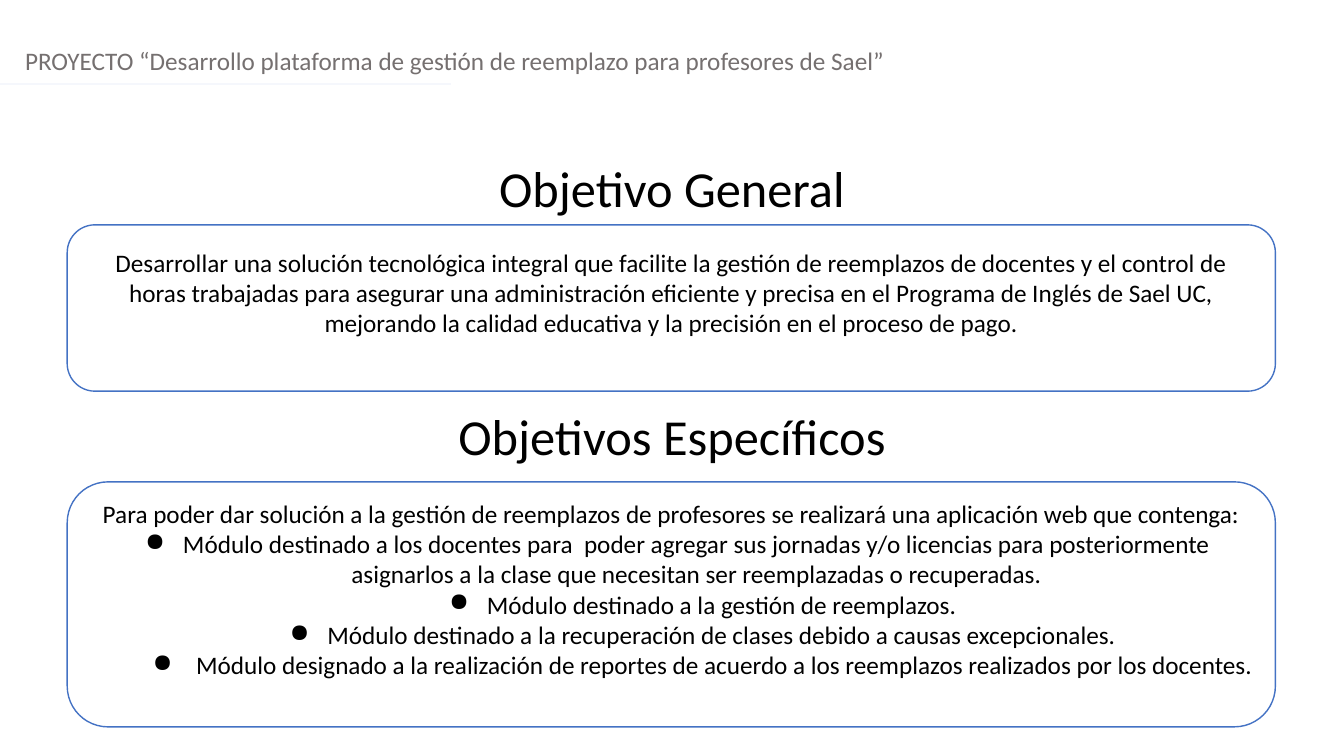
from lxml import etree
from pptx import Presentation
from pptx.dml.color import RGBColor
from pptx.enum.shapes import MSO_CONNECTOR, MSO_SHAPE
from pptx.enum.text import MSO_ANCHOR, MSO_AUTO_SIZE, PP_ALIGN
from pptx.oxml.ns import qn
from pptx.util import Pt

ROUNDED = MSO_SHAPE.ROUNDED_RECTANGLE
STRAIGHT = MSO_CONNECTOR.STRAIGHT
MIDDLE, TOP = MSO_ANCHOR.MIDDLE, MSO_ANCHOR.TOP
NO_AUTOFIT = MSO_AUTO_SIZE.NONE
CENTER, LEFT = PP_ALIGN.CENTER, PP_ALIGN.LEFT

BLACK = RGBColor(0x00, 0x00, 0x00)
WHITE = RGBColor(0xFF, 0xFF, 0xFF)
GRAY = RGBColor(0x75, 0x70, 0x70)
BLUE = RGBColor(0x44, 0x72, 0xC4)
PALE = RGBColor(0xF5, 0xF7, 0xFC)
FONT = "Calibri"

# Content: list entries are (text, left indent in points); None means no bullet
PROJECT = "PROYECTO “Desarrollo plataforma de gestión de reemplazo para profesores de Sael”"
GENERAL_TITLE = "Objetivo General"
SPECIFIC_TITLE = "Objetivos Específicos"
GENERAL = [
    ("Desarrollar una solución tecnológica integral que facilite la gestión de reemplazos "
     "de docentes y el control de horas trabajadas para asegurar una administración "
     "eficiente y precisa en el Programa de Inglés de Sael UC, mejorando la calidad "
     "educativa y la precisión en el proceso de pago.", None),
]
SPECIFIC = [
    ("Para poder dar solución a la gestión de reemplazos de profesores se realizará una "
     "aplicación web que contenga:", None),
    ("Módulo destinado a los docentes para  poder agregar sus jornadas y/o licencias para "
     "posteriormente asignarlos a la clase que necesitan ser reemplazadas o recuperadas.", 36),
    ("Módulo destinado a la gestión de reemplazos.", 72),
    ("Módulo destinado a la recuperación de clases debido a causas excepcionales.", 72),
    (" Módulo designado a la realización de reportes de acuerdo a los reemplazos "
     "realizados por los docentes.", 72),
]

# Layout in points
WIDTH, HEIGHT = 960, 540
BOX_LEFT = 48
BOX_WIDTH = 863
HEADING_HEIGHT = 51
BODY_SIZE, HEADING_SIZE = 18, 36
BULLET_HANG = 27
BOTTOM_INSET = 25.6  # leaves one free line under the text

presentation = Presentation()
presentation.slide_width, presentation.slide_height = Pt(WIDTH), Pt(HEIGHT)
slide = presentation.slides.add_slide(presentation.slide_layouts[5])


def format_paragraph(paragraph, size, color, alignment):
    paragraph.alignment = alignment
    for run in paragraph.runs:
        run.font.name, run.font.size = FONT, Pt(size)
        run.font.color.rgb = color


def fill_line(shape, text, place, size, color, alignment):
    shape.left, shape.top, shape.width, shape.height = (Pt(value) for value in place)
    frame = shape.text_frame
    frame.text = text
    frame.word_wrap = True
    frame.auto_size = NO_AUTOFIT
    frame.vertical_anchor = TOP
    format_paragraph(frame.paragraphs[0], size, color, alignment)


def add_bullet(paragraph, indent):
    properties = paragraph._p.get_or_add_pPr()
    properties.set("marL", str(Pt(indent)))
    properties.set("indent", str(Pt(-BULLET_HANG)))
    bullet_color = etree.SubElement(properties, qn("a:buClr"))
    etree.SubElement(bullet_color, qn("a:srgbClr"), val=str(BLACK))
    etree.SubElement(properties, qn("a:buChar"), char="●")


def add_box(top, height, entries):
    box = slide.shapes.add_shape(ROUNDED, Pt(BOX_LEFT), Pt(top), Pt(BOX_WIDTH), Pt(height))
    box.shadow.inherit = False
    box.fill.solid()
    box.fill.fore_color.rgb = WHITE
    box.line.color.rgb = BLUE
    box.line.width = Pt(1)
    frame = box.text_frame
    frame.word_wrap = True
    frame.vertical_anchor = MIDDLE
    frame.margin_bottom = Pt(BOTTOM_INSET)
    frame.text = "\n".join(text for text, indent in entries)
    for paragraph, (text, indent) in zip(frame.paragraphs, entries):
        format_paragraph(paragraph, BODY_SIZE, BLACK, CENTER)
        if indent is not None:
            add_bullet(paragraph, indent)


# Project header and its rule
header = slide.shapes.add_textbox(0, 0, 0, 0)
fill_line(header, PROJECT, (10.8, 28.8, WIDTH - 10.8, 29), BODY_SIZE, GRAY, LEFT)
rule = slide.shapes.add_connector(STRAIGHT, 0, Pt(59.8), Pt(322), Pt(59.8))
rule.line.color.rgb = PALE
rule.line.width = Pt(1.25)
etree.SubElement(rule._element.spPr, qn("a:effectLst"))

# General objective
fill_line(slide.shapes.title, GENERAL_TITLE, (0, 108.7, WIDTH, HEADING_HEIGHT),
          HEADING_SIZE, BLACK, CENTER)
add_box(160.6, 118.8, GENERAL)

# Specific objectives
heading = slide.shapes.add_textbox(0, 0, 0, 0)
fill_line(heading, SPECIFIC_TITLE, (0, 285.8, WIDTH, HEADING_HEIGHT),
          HEADING_SIZE, BLACK, CENTER)
add_box(344.2, 175, SPECIFIC)

presentation.save("out.pptx")
